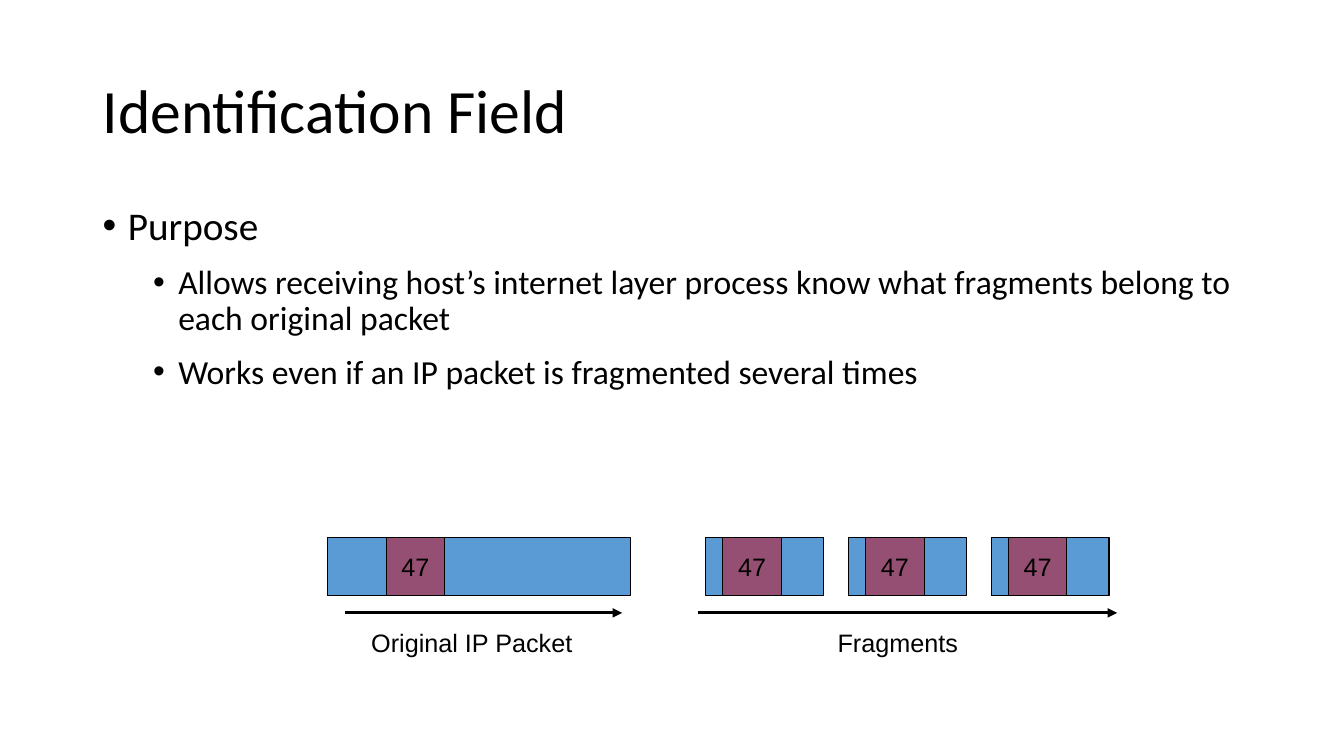
from dataclasses import dataclass

from lxml import etree
from pptx import Presentation
from pptx import util as u
from pptx.dml.color import RGBColor
from pptx.enum import shapes, text
from pptx.oxml import ns

BLACK, BLUE, PLUM = "000000", "5B9BD5", "954F72"
PACKET_TOP, PACKET_H = 5.33, 0.58
ARROW_Y, CAPTION_TOP = 6.08, 6.17
FRAGMENT_LEFT, FRAGMENT_STEP = 7, 1.415


@dataclass
class Packet:
    left: float
    width: float
    id_offset: float
    id_text: str = "47"


@dataclass
class Span:
    """An arrow under a group of packets, with its caption."""
    start: float
    end: float
    caption: str
    caption_left: float
    caption_width: float


@dataclass
class Bullet:
    words: str
    level: int
    size: float
    before: float


PACKETS = [Packet(3.25, 3, 0.58)] + [
    Packet(FRAGMENT_LEFT + i * FRAGMENT_STEP, 1.17, 0.17) for i in range(3)
]
SPANS = [
    Span(3.42, 6.17, "Original IP Packet", 3.57, 2.22),
    Span(6.92, 11.08, "Fragments", 8.2, 1.41),
]
BULLETS = [
    Bullet("Purpose", 0, 28, 10),
    Bullet("Allows receiving host’s internet layer process know what "
           "fragments belong to each original packet", 1, 24, 12),
    Bullet("Works even if an IP packet is fragmented several times", 1, 24, 12),
]


def rgb(color: str) -> RGBColor:
    return RGBColor.from_string(color)


def write(p, words: str, *, size: float = 18, font: str = "Arial",
          color: str = BLACK, align=None, spacing: float | None = None,
          before: float | None = None) -> None:
    p.alignment = align
    p.line_spacing = spacing
    if before is not None:
        p.space_before = u.Pt(before)
    r = p.add_run()
    r.text = words
    r.font.size = u.Pt(size)
    r.font.name = font
    r.font.color.rgb = rgb(color)


def add_box(s, left: float, top: float, width: float, height: float, *,
            wrap: bool = True, anchor=text.MSO_ANCHOR.TOP):
    """Add a text box and return its text frame."""
    tf = s.shapes.add_textbox(u.Inches(left), u.Inches(top),
                              u.Inches(width), u.Inches(height)).text_frame
    tf.word_wrap = wrap
    tf.vertical_anchor = anchor
    return tf


def add_bullets(s, bullets: list[Bullet]) -> None:
    tf = add_box(s, 0.92, 2, 11.5, 4.76)
    for i, bullet in enumerate(bullets):
        p = tf.add_paragraph() if i else tf.paragraphs[0]
        p.level = bullet.level
        write(p, bullet.words, size=bullet.size, font="Calibri",
              spacing=0.9, before=bullet.before)
        pPr = p._p.get_or_add_pPr()
        pPr.set("marL", str(u.Inches(0.25 + 0.5 * bullet.level)))
        pPr.set("indent", str(u.Inches(-0.25)))
        etree.SubElement(pPr, ns.qn("a:buFont"), typeface="Arial")
        etree.SubElement(pPr, ns.qn("a:buChar"), char="•")


def add_rect(s, left: float, width: float, fill: str):
    sp = s.shapes.add_shape(shapes.MSO_SHAPE.RECTANGLE, u.Inches(left),
                            u.Inches(PACKET_TOP), u.Inches(width),
                            u.Inches(PACKET_H))
    sp.shadow.inherit = False
    sp.fill.solid()
    sp.fill.fore_color.rgb = rgb(fill)
    sp.line.color.rgb = rgb(BLACK)
    sp.line.width = u.Pt(0.75)
    return sp


def add_packet(s, packet: Packet) -> None:
    add_rect(s, packet.left, packet.width, BLUE)
    tf = add_rect(s, packet.left + packet.id_offset, PACKET_H, PLUM).text_frame
    tf.word_wrap = False
    tf.vertical_anchor = text.MSO_ANCHOR.MIDDLE
    write(tf.paragraphs[0], packet.id_text, align=text.PP_ALIGN.CENTER)


def add_span(s, span: Span) -> None:
    arrow = s.shapes.add_connector(
        shapes.MSO_CONNECTOR.STRAIGHT, u.Inches(span.start),
        u.Inches(ARROW_Y), u.Inches(span.end), u.Inches(ARROW_Y))
    arrow.line.color.rgb = rgb(BLACK)
    arrow.line.width = u.Pt(2.25)
    etree.SubElement(arrow.line._get_or_add_ln(), ns.qn("a:tailEnd"),
                     type="triangle")
    etree.SubElement(arrow._element.spPr, ns.qn("a:effectLst"))

    tf = add_box(s, span.caption_left, CAPTION_TOP, span.caption_width, 0.4,
                 wrap=False)
    tf.auto_size = text.MSO_AUTO_SIZE.SHAPE_TO_FIT_TEXT
    write(tf.paragraphs[0], span.caption, align=text.PP_ALIGN.CENTER)


def main() -> None:
    prs = Presentation()
    prs.slide_width, prs.slide_height = u.Inches(13.33), u.Inches(7.5)
    s = prs.slides.add_slide(prs.slide_layouts[6])

    title = add_box(s, 0.92, 0.4, 11.5, 1.45, anchor=text.MSO_ANCHOR.MIDDLE)
    write(title.paragraphs[0], "Identification Field", size=44,
          font="Calibri", spacing=0.9)
    add_bullets(s, BULLETS)
    for packet in PACKETS:
        add_packet(s, packet)
    for span in SPANS:
        add_span(s, span)
    prs.save("out.pptx")


if __name__ == "__main__":
    main()
